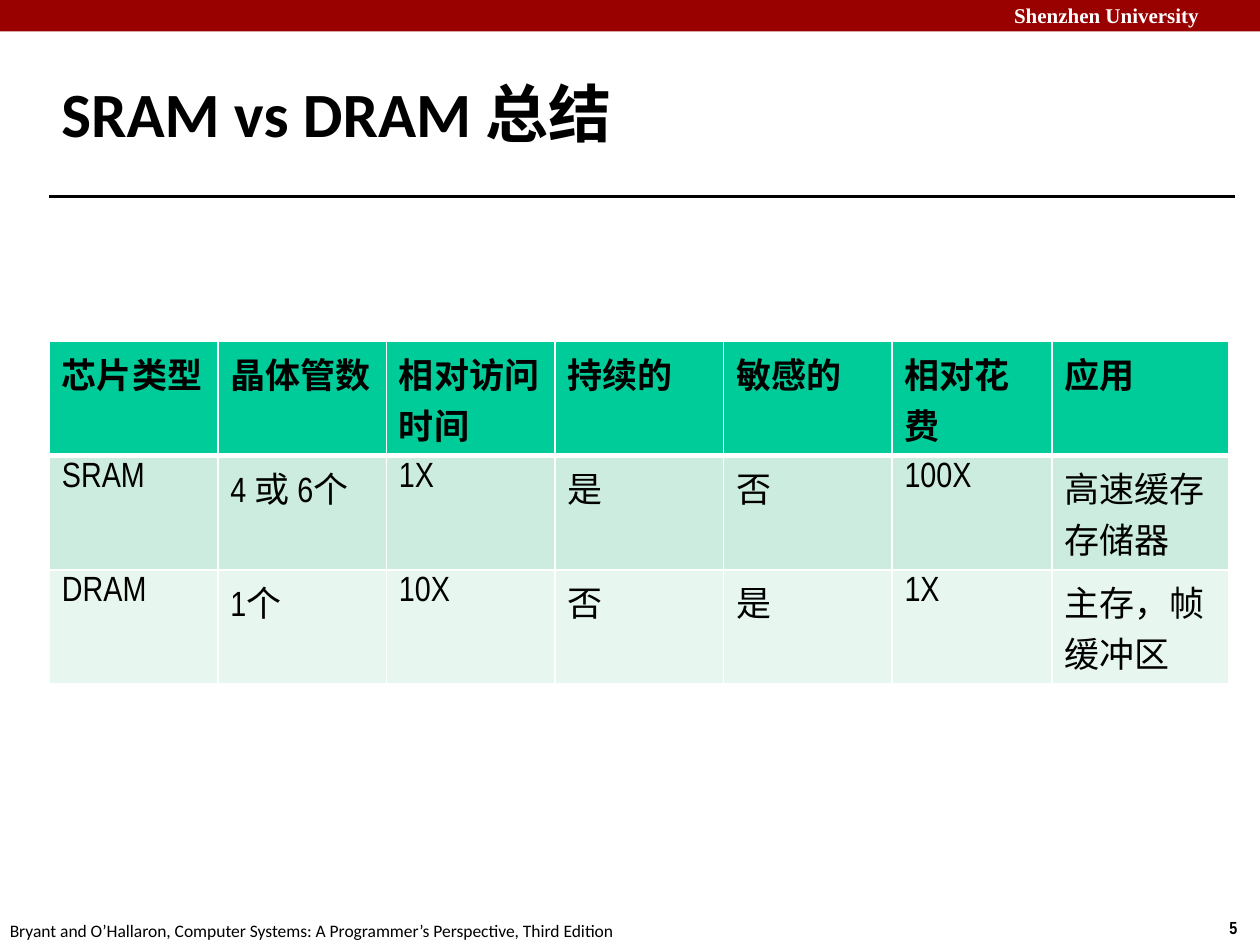
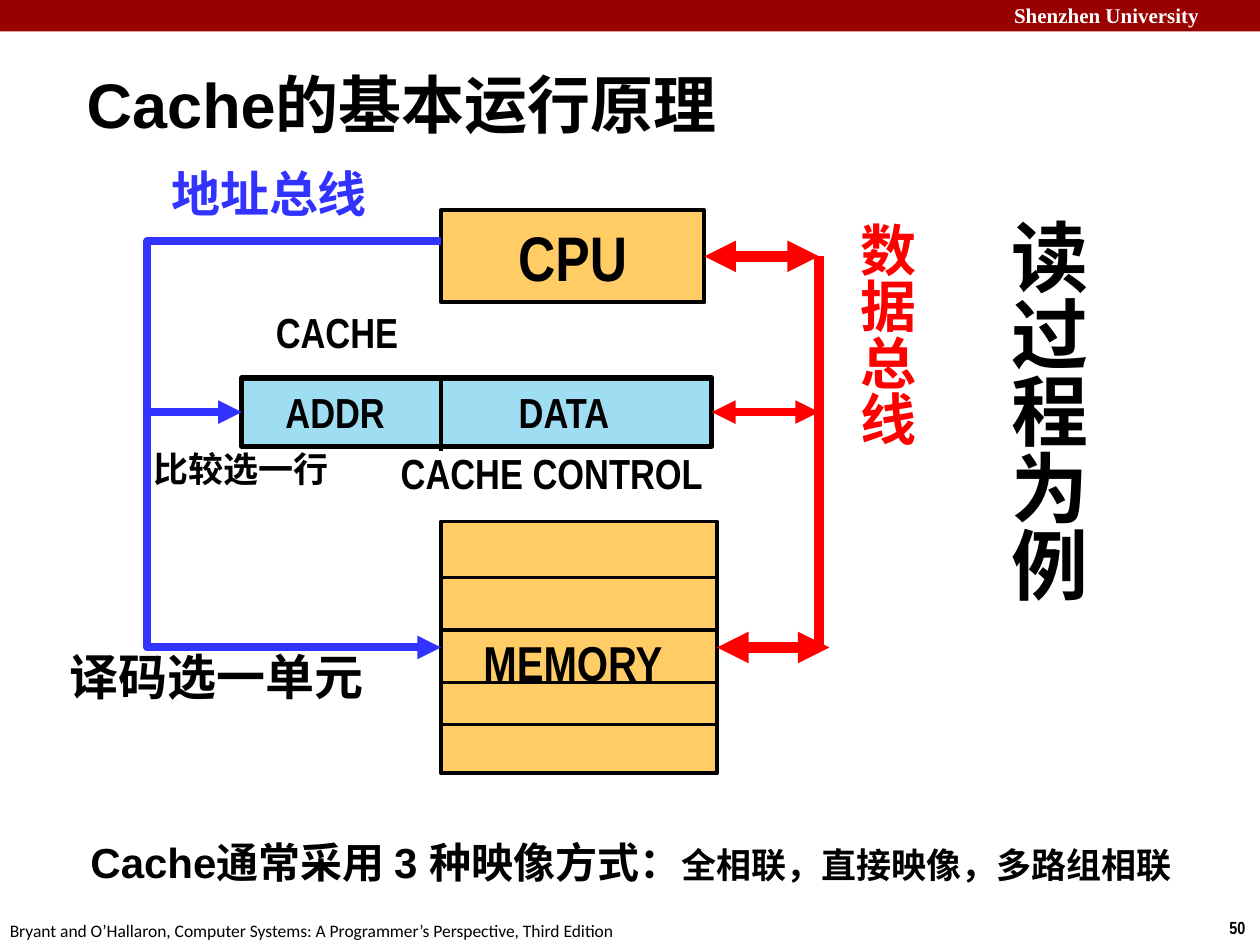
import pptx
import pptx.util
import pptx.dml.color
import pptx.enum.shapes
import pptx.enum.text
import pptx.oxml.ns
from lxml import etree

Pt = pptx.util.Pt
RGB = pptx.dml.color.RGBColor
ALIGN = pptx.enum.text.PP_ALIGN
ANCHOR = pptx.enum.text.MSO_ANCHOR
RECT = pptx.enum.shapes.MSO_SHAPE.RECTANGLE
STRAIGHT = pptx.enum.shapes.MSO_CONNECTOR.STRAIGHT
qn = pptx.oxml.ns.qn

BLACK = RGB(0x00, 0x00, 0x00)
WHITE = RGB(0xFF, 0xFF, 0xFF)
BAND_RED = RGB(0x99, 0x00, 0x00)
BUS_RED = RGB(0xFF, 0x00, 0x00)
BUS_BLUE = RGB(0x33, 0x33, 0xFF)
ORANGE = RGB(0xFF, 0xCC, 0x66)
SKY = RGB(0x9F, 0xDD, 0xF3)
HEADER_GREEN = RGB(0x00, 0xCC, 0x99)
ROW_GREEN = RGB(0xCB, 0xEC, 0xDE)
PALE_GREEN = RGB(0xE7, 0xF6, 0xEF)
NARROW = "Arial Narrow"


def write(sp, runs, font=NARROW, color=BLACK, bold=True, align=ALIGN.LEFT,
          anchor=ANCHOR.MIDDLE):
    tf = sp.text_frame
    tf.word_wrap = True
    tf.vertical_anchor = anchor
    p = tf.paragraphs[0]
    p.alignment = align
    for text, size in runs:
        r = p.add_run()
        r.text = text
        r.font.size = Pt(size)
        r.font.name = font
        r.font.bold = bold
        r.font.color.rgb = color
    return tf


def style_line(sp, color, width, head=False, tail=False):
    sp.line.color.rgb = color
    sp.line.width = Pt(width)
    spPr = sp._element.spPr
    ln = spPr.find(qn("a:ln"))
    for end, wanted in (("a:headEnd", head), ("a:tailEnd", tail)):
        if wanted:
            etree.SubElement(ln, qn(end)).set("type", "triangle")
    etree.SubElement(spPr, qn("a:effectLst"))


prs = pptx.Presentation()
prs.slide_width, prs.slide_height = Pt(720), Pt(540)

pages = [
    ("5", "SRAM vs DRAM 总结", "Calibri", (28, 34.5, 598, 59)),
    ("50", "Cache的基本运行原理", "Arial", (42.5, 32, 612, 54)),
]
slides = []
for number, title, title_font, title_box in pages:
    s = prs.slides.add_slide(prs.slide_layouts[6])
    slides.append(s)
    band = s.shapes.add_shape(RECT, 0, 0, Pt(720), Pt(18))
    band.shadow.inherit = False
    band.fill.solid()
    band.fill.fore_color.rgb = BAND_RED
    band.line.fill.background()
    for box, text, size, font, color, bold in [
        ((572.4, -2, 152.6, 21.6), "Shenzhen University", 12, "Times New Roman", WHITE, True),
        ((695.5, 520.6, 24.5, 19.4), number, 10, NARROW, BLACK, True),
        ((-1.5, 522, 366.5, 19.4),
         "Bryant and O’Hallaron, Computer Systems: A Programmer’s Perspective, Third Edition",
         10, "Calibri", BLACK, False),
        (title_box, title, 36, title_font, BLACK, True),
    ]:
        sp = s.shapes.add_textbox(*map(Pt, box))
        write(sp, [(text, size)], font, color, bold)

s = slides[0]
rule = s.shapes.add_connector(STRAIGHT, Pt(28), Pt(112.3), Pt(706), Pt(112.3))
style_line(rule, BLACK, 2)

rows = [
    ["芯片类型", "晶体管数", "相对访问时间", "持续的", "敏感的", "相对花费", "应用"],
    ["SRAM", "4 或 6个", "1X", "是", "否", "100X", "高速缓存存储器"],
    ["DRAM", "1个", "10X", "否", "是", "1X", "主存，帧缓冲区"],
]
widths = [96.3] * 5 + [91.5, 100.8]
row_height = 65.2
row_fills = [HEADER_GREEN, ROW_GREEN, PALE_GREEN]
table = s.shapes.add_table(3, 7, Pt(28.2), Pt(195.2), Pt(sum(widths)), Pt(3 * row_height)).table
table.horz_banding = False
for col, width in zip(table.columns, widths):
    col.width = Pt(width)
for i, values in enumerate(rows):
    table.rows[i].height = Pt(row_height)
    for j, value in enumerate(values):
        cell = table.cell(i, j)
        tcPr = cell._tc.get_or_add_tcPr()
        edges = {"L": 1, "R": 1, "T": 3 if i == 1 else 1, "B": 3 if i == 0 else 1}
        for side, width in edges.items():
            ln = etree.SubElement(tcPr, qn("a:ln" + side), w=str(Pt(width)))
            fill = etree.SubElement(ln, qn("a:solidFill"))
            etree.SubElement(fill, qn("a:srgbClr"), val=str(WHITE))
        cell.fill.solid()
        cell.fill.fore_color.rgb = row_fills[i]
        write(cell, [(value, 20)], bold=i == 0, anchor=ANCHOR.TOP)
        cell.vertical_anchor = ANCHOR.TOP

s = slides[1]
for box, runs, font, color, filled, vertical in [
    ((198, 252, 234.7, 36), [("CACHE CONTROL", 24)], NARROW, BLACK, True, False),
    ((90, 90, 127.5, 41), [("地址总线", 28)], NARROW, BUS_BLUE, True, False),
    ((141.8, 171.4, 101.5, 36), [("CACHE", 24)], NARROW, BLACK, True, False),
    ((31.7, 365.8, 184.3, 41), [("译码选一单元", 28)], NARROW, BLACK, False, False),
    ((59.8, 252, 156.2, 31), [("比较选一行", 20)], NARROW, BLACK, False, False),
    ((480.2, 120.2, 52.6, 136), [("数据总线", 32)], NARROW, BUS_RED, False, True),
    ((565.2, 118, 67, 229), [("读过程为例", 44)], NARROW, BLACK, False, True),
    ((42.5, 474.5, 636.5, 36), [("Cache通常采用 3 种映像方式：", 24),
                                ("全相联，直接映像，多路组相联", 20)],
     "Arial", BLACK, False, False),
]:
    sp = s.shapes.add_textbox(*map(Pt, box))
    if filled:
        sp.fill.solid()
        sp.fill.fore_color.rgb = WHITE
    tf = write(sp, runs, font, color, align=ALIGN.CENTER)
    if vertical:
        tf.word_wrap = False
        tf._txBody.bodyPr.set("vert", "eaVert")

boxes = []
for box, fill, width in [
    ((252, 120.2, 150.5, 52.6), ORANGE, 2.25),
    ((138.2, 216, 268.6, 39), SKY, 3),
    ((252, 298, 157.7, 144), ORANGE, 2.25),
]:
    sp = s.shapes.add_shape(RECT, *map(Pt, box))
    sp.shadow.inherit = False
    sp.fill.solid()
    sp.fill.fore_color.rgb = fill
    sp.line.color.rgb = BLACK
    sp.line.width = Pt(width)
    boxes.append(sp)
cpu, cache, memory = boxes

write(cpu, [("CPU", 36)], align=ALIGN.CENTER)
tf = write(memory, [("MEMORY", 28)], align=ALIGN.CENTER)
tf.margin_top, tf.margin_right = Pt(20), Pt(14)
for field, left, width in [("ADDR", 138.2, 106.6), ("DATA", 252, 140.6)]:
    sp = s.shapes.add_textbox(Pt(left), cache.top, Pt(width), cache.height)
    write(sp, [(field, 24)], align=ALIGN.CENTER)

for x1, y1, x2, y2 in [(252, y, 409, y) for y in (330, 360, 390, 414)] + [(252, 216, 252, 258)]:
    divider = s.shapes.add_connector(STRAIGHT, Pt(x1), Pt(y1), Pt(x2), Pt(y2))
    style_line(divider, BLACK, 2.25)

bus_x = Pt(468)
middles = [sp.top + sp.height // 2 for sp in boxes]
for sp, y, end_x, width in zip(boxes, middles, (468, 468, 474), (6, 4.5, 6)):
    link = s.shapes.add_connector(STRAIGHT, sp.left + sp.width, y, Pt(end_x), y)
    link.begin_connect(sp, 3)
    style_line(link, BUS_RED, width, head=True, tail=True)
data_bus = s.shapes.add_connector(STRAIGHT, bus_x, middles[0], bus_x, middles[2])
style_line(data_bus, BUS_RED, 6)

address_x = Pt(84)
compare = s.shapes.add_connector(STRAIGHT, address_x, middles[1], cache.left, middles[1])
compare.end_connect(cache, 1)
style_line(compare, BUS_BLUE, 4.5, tail=True)
fb = s.shapes.build_freeform(cpu.left, Pt(138))
fb.add_line_segments([(address_x, Pt(138)), (address_x, middles[2]), (memory.left, middles[2])],
                     close=False)
address_bus = fb.convert_to_shape()
address_bus.fill.background()
style_line(address_bus, BUS_BLUE, 4.5, tail=True)

prs.save("out.pptx")
